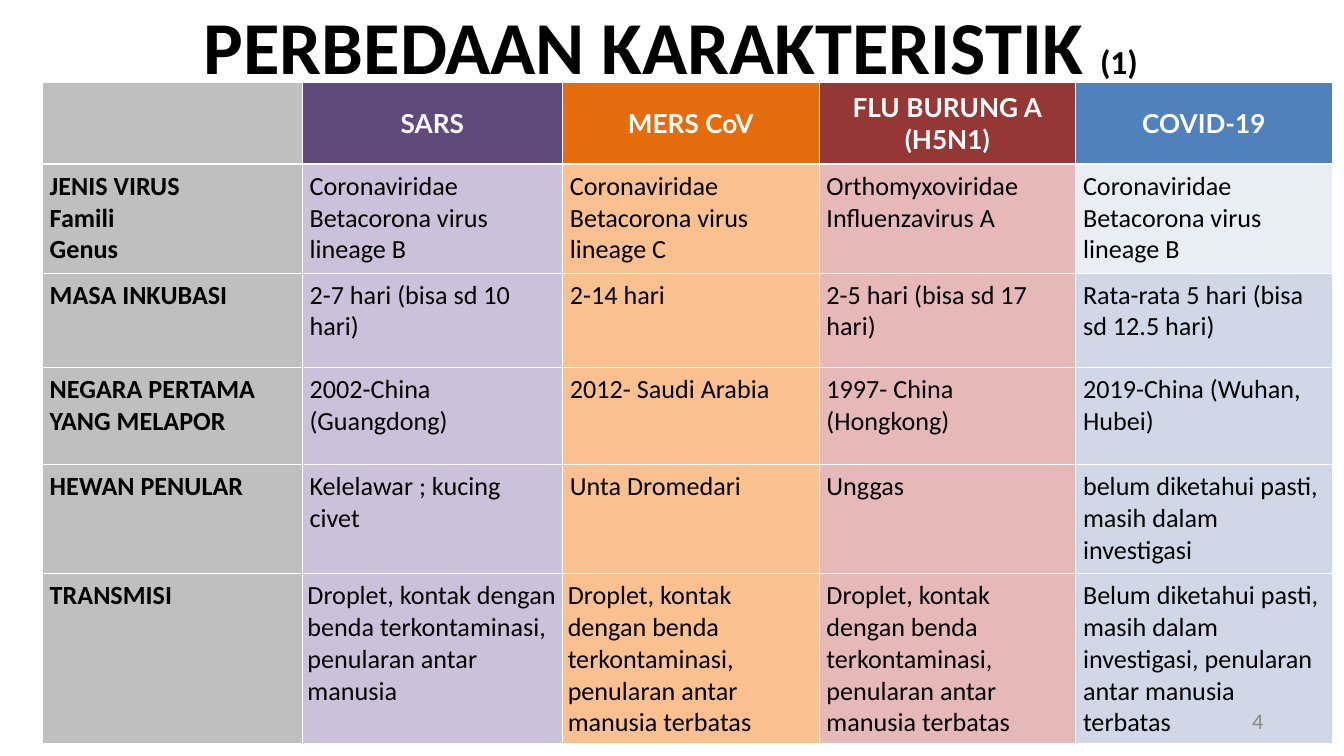
import pptx
import pptx.dml.color
import pptx.enum.text
import pptx.oxml
import pptx.oxml.ns
import pptx.util
from pptx.dml.color import RGBColor
from pptx.util import Cm

BLACK = RGBColor(0x00, 0x00, 0x00)
WHITE = RGBColor(0xFF, 0xFF, 0xFF)
NUMBER_GRAY = RGBColor(0x89, 0x89, 0x89)
LABEL_GRAY = RGBColor(0xBF, 0xBF, 0xBF)
PURPLE, LILAC = RGBColor(0x60, 0x4A, 0x7B), RGBColor(0xCC, 0xC1, 0xDA)
ORANGE, PEACH = RGBColor(0xE4, 0x6C, 0x0A), RGBColor(0xFA, 0xC0, 0x90)
RED, PINK = RGBColor(0x95, 0x37, 0x35), RGBColor(0xE6, 0xB9, 0xB8)
BLUE, SKY = RGBColor(0x4F, 0x81, 0xBD), RGBColor(0xD0, 0xD8, 0xE8)
PALE_SKY = RGBColor(0xE9, 0xED, 0xF4)

HEADER_FILLS = [LABEL_GRAY, PURPLE, ORANGE, RED, BLUE]
BODY_FILLS = [LABEL_GRAY, LILAC, PEACH, PINK, SKY]
COLUMN_WIDTHS = [4.91, 4.92, 4.85, 4.85, 4.85]
ROW_HEIGHTS = [1.54, 2.06, 1.78, 1.84, 2.06, 3.2]

LIMITED_SPREAD = "Droplet, kontak dengan benda terkontaminasi, penularan antar manusia terbatas"
ROWS = [
    ["", "SARS", "MERS CoV", "FLU BURUNG A\n(H5N1)", "COVID-19"],
    ["JENIS VIRUS\nFamili\nGenus",
     "Coronaviridae\nBetacorona virus lineage B",
     "Coronaviridae\nBetacorona virus lineage C",
     "Orthomyxoviridae\nInfluenzavirus A",
     "Coronaviridae\nBetacorona virus lineage B"],
    ["MASA INKUBASI", "2-7 hari (bisa sd 10 hari)", "2-14 hari",
     "2-5 hari (bisa sd 17 hari)", "Rata-rata 5 hari (bisa sd 12.5 hari)"],
    ["NEGARA PERTAMA YANG MELAPOR", "2002-China (Guangdong)",
     "2012- Saudi Arabia", "1997- China (Hongkong)",
     "2019-China (Wuhan, Hubei)"],
    ["HEWAN PENULAR", "Kelelawar ; kucing civet", "Unta Dromedari", "Unggas",
     "belum diketahui pasti, masih dalam investigasi"],
    ["TRANSMISI",
     "Droplet, kontak dengan benda terkontaminasi, penularan antar manusia",
     LIMITED_SPREAD, LIMITED_SPREAD,
     "Belum diketahui pasti, masih dalam investigasi, penularan antar manusia terbatas"],
]


class SlideWriter:
    body_font = "Calibri"
    header_font = "Lato"
    table_size = 14
    thin, thick = 0.45, 1.47
    center = pptx.enum.text.PP_ALIGN.CENTER
    right = pptx.enum.text.PP_ALIGN.RIGHT
    middle = pptx.enum.text.MSO_ANCHOR.MIDDLE

    def __init__(self, page):
        self.page = page

    def style(self, span, size, color, bold=False, font=body_font):
        span.font.name = font
        span.font.size = pptx.util.Pt(size)
        span.font.bold = bold
        span.font.color.rgb = color

    def text(self, left, top, width, height, spans, align, inset=0.0):
        """Add a one-line box; spans are (wording, size, color, bold)."""
        box = self.page.shapes.add_textbox(Cm(left), Cm(top), Cm(width), Cm(height))
        frame = box.text_frame
        frame.word_wrap = True
        frame.vertical_anchor = self.middle
        frame.margin_left = frame.margin_right = Cm(inset)
        frame.margin_top = frame.margin_bottom = Cm(inset / 2)
        para = frame.paragraphs[0]
        para.alignment = align
        for wording, size, color, bold in spans:
            span = para.add_run()
            span.text = wording
            self.style(span, size, color, bold)

    def borders(self, cell, top, bottom):
        properties = cell._tc.get_or_add_tcPr()
        widths = {"L": self.thin, "R": self.thin, "T": top, "B": bottom}
        for side, points in widths.items():
            properties.append(pptx.oxml.parse_xml(
                f'<a:ln{side} {pptx.oxml.ns.nsdecls("a")} w="{pptx.util.Pt(points)}">'
                f'<a:solidFill><a:srgbClr val="{WHITE}"/></a:solidFill></a:ln{side}>'))

    def cell(self, cell, wording, fill, header, bold, inset):
        cell.margin_left = cell.margin_right = Cm(inset)
        cell.margin_top = cell.margin_bottom = Cm(0.12)
        cell.fill.solid()
        cell.fill.fore_color.rgb = fill
        cell.text_frame.text = wording
        if header:
            cell.vertical_anchor = self.middle
        color = WHITE if header else BLACK
        font = self.header_font if header else self.body_font
        for para in cell.text_frame.paragraphs:
            if header:
                para.alignment = self.center
            for span in para.runs:
                self.style(span, self.table_size, color, bold, font)

    def table(self, left, top, rows, widths, heights):
        table = self.page.shapes.add_table(
            len(rows), len(widths), Cm(left), Cm(top),
            Cm(sum(widths)), Cm(sum(heights))).table
        table.first_row = table.horz_banding = False
        for column, width in zip(table.columns, widths):
            column.width = Cm(width)
        for i, (wordings, height) in enumerate(zip(rows, heights)):
            table.rows[i].height = Cm(height)
            header = i == 0
            for j, wording in enumerate(wordings):
                fill = (HEADER_FILLS if header else BODY_FILLS)[j]
                if (i, j) == (1, 4):
                    fill = PALE_SKY
                tight = i == len(rows) - 1 and j in (1, 2)
                cell = table.cell(i, j)
                self.borders(cell, self.thick if i == 1 else self.thin,
                             self.thick if header else self.thin)
                self.cell(cell, wording, fill, header, header or j == 0,
                          0.1 if tight else 0.14)


def main():
    deck = pptx.Presentation()
    deck.slide_width, deck.slide_height = Cm(25.4), Cm(14.29)
    writer = SlideWriter(deck.slides.add_slide(deck.slide_layouts[6]))
    writer.text(2.2, 0.2, 20.96, 1.3,
                [("PERBEDAAN KARAKTERISTIK ", 40, BLACK, True),
                 ("(1)", 18, BLACK, True)], writer.center)
    writer.table(0.8, 1.56, ROWS, COLUMN_WIDTHS, ROW_HEIGHTS)
    writer.text(18.2, 13.24, 5.93, 0.76, [("4", 12, NUMBER_GRAY, False)],
                writer.right, inset=0.25)
    deck.save("out.pptx")


if __name__ == "__main__":
    main()
